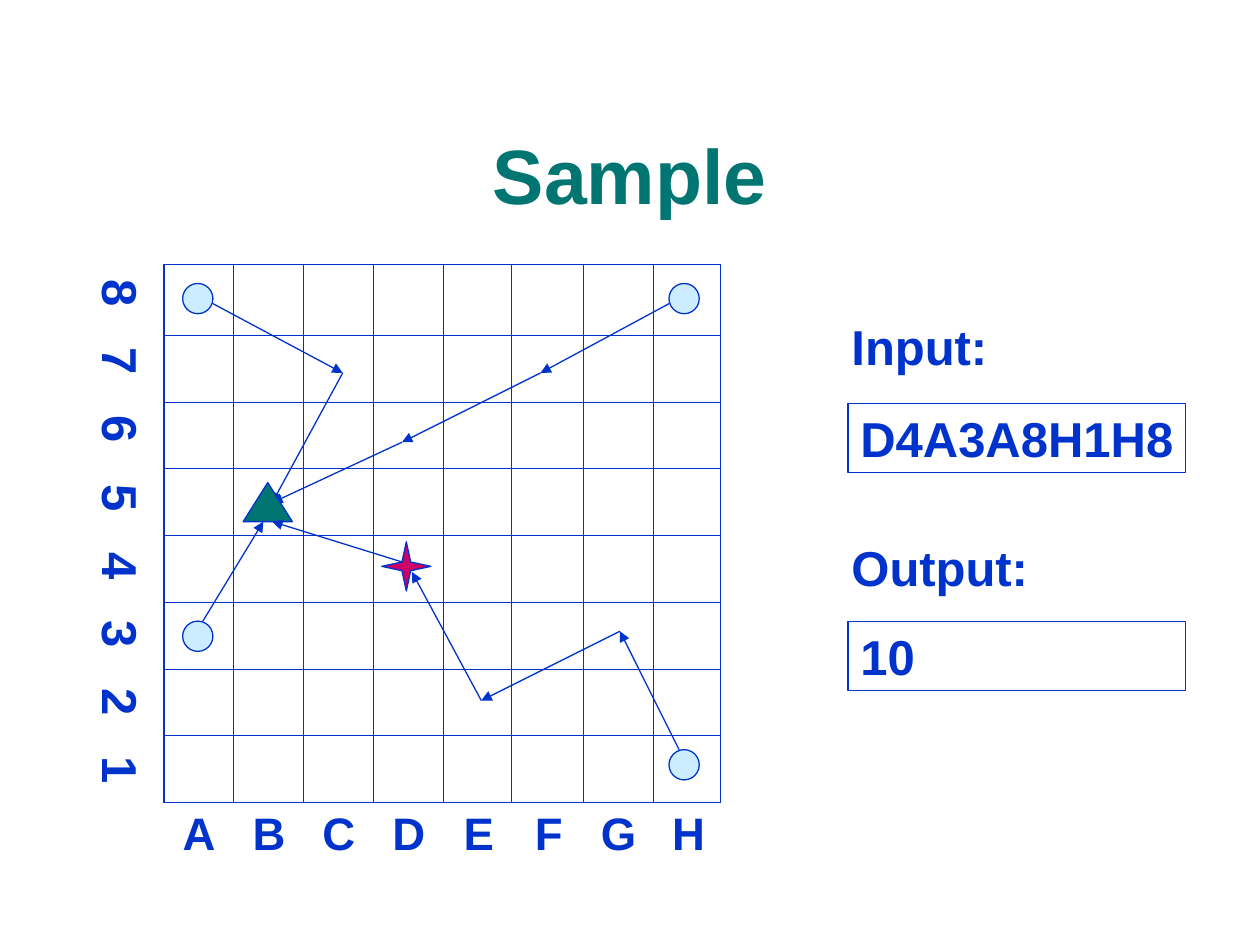
"""Build the sample slide: a chess board with paths, next to its input and output."""
from dataclasses import dataclass
from itertools import pairwise, product

from lxml.etree import SubElement as Sub
from pptx import Presentation
from pptx.dml.color import RGBColor as Color
from pptx.enum.shapes import MSO_CONNECTOR as Link, MSO_SHAPE as Kind
from pptx.enum.text import MSO_ANCHOR as Anchor, PP_ALIGN as Align
from pptx.oxml.ns import qn
from pptx.util import Inches, Pt


@dataclass(frozen=True)
class Theme:
    font: str = "Arial"
    blue: str = "0033CC"
    teal: str = "007572"
    pale: str = "CCECFF"
    pink: str = "CC0066"
    white: str = "FFFFFF"
    title: int = 44
    body: int = 28
    label: int = 26
    line: float = 0.75
    thin: float = 0.45
    thick: float = 1.08


@dataclass(frozen=True)
class Box:
    left: float
    top: float
    width: float
    height: float

    def place(self) -> tuple:
        return tuple(map(Inches, (self.left, self.top, self.width, self.height)))


@dataclass(frozen=True)
class Mark:
    kind: Kind
    box: Box
    fill: str


@dataclass(frozen=True)
class Field:
    head: str
    value: str
    top: float
    gap: float


@dataclass(frozen=True)
class Scale:
    signs: str
    box: Box
    size: int
    first: float
    step: float
    vert: str = "horz"


THEME = Theme()
BOARD = Box(1.3, 2.1, 4.41, 4.25)
COLS = (0.55, 0.56, 0.55, 0.56, 0.54, 0.57, 0.56, 0.53)
ROWS = (0.56,) + (0.53,) * 7
FIELDS = (
    Field("Input:", "D4A3A8H1H8", 3.2, 0.74),
    Field("Output:", "10", 4.93, 0.71),
)
SCALES = (
    Scale("ABCDEFGH", Box(1.36, 6.34, 4.36, 0.54), THEME.label, 0.22, 0.555),
    Scale("87654321", Box(0.59, 2.18, 0.66, 4.1), THEME.body, 0.15, 0.54, "eaVert"),
)
SPOTS = ((1.45, 4.93), (1.45, 2.25), (5.31, 5.95), (5.31, 2.25))
MARKS = (
    *(Mark(Kind.OVAL, Box(x, y, 0.24, 0.24), THEME.pale) for x, y in SPOTS),
    Mark(Kind.STAR_4_POINT, Box(3.03, 4.3, 0.39, 0.39), THEME.pink),
)
GOAL = Mark(Kind.ISOSCELES_TRIANGLE, Box(1.93, 3.83, 0.39, 0.31), THEME.teal)
ROUTES = (
    ((1.61, 4.93), (2.09, 4.14)),
    ((1.69, 2.41), (2.72, 2.96), (2.16, 3.99)),
    ((5.31, 2.41), (4.29, 2.96), (3.19, 3.51), (2.16, 3.99)),
    ((5.39, 5.95), (4.92, 5.01), (3.82, 5.56), (3.27, 4.54)),
)
LAST = ((3.19, 4.46), (2.16, 4.14))


def write(shape, text: str, *, size: int = THEME.body, color: str = THEME.blue,
          align: Align = Align.LEFT, anchor: Anchor = Anchor.TOP,
          sides: tuple = (0.1, 0.05, 0, 0.05)) -> None:
    frame = shape.text_frame
    frame.word_wrap = True
    frame.vertical_anchor = anchor
    (frame.margin_left, frame.margin_top,
     frame.margin_right, frame.margin_bottom) = map(Inches, sides)
    para = frame.paragraphs[0]
    para.alignment = align
    run = para.add_run()
    run.text = text
    run.font.name, run.font.size, run.font.bold = THEME.font, Pt(size), True
    run.font.color.rgb = Color.from_string(color)


def draw_mark(slide, mark: Mark):
    shape = slide.shapes.add_shape(mark.kind, *mark.box.place())
    shape.shadow.inherit = False
    shape.fill.solid()
    shape.fill.fore_color.rgb = Color.from_string(mark.fill)
    shape.line.color.rgb = Color.from_string(THEME.blue)
    shape.line.width = Pt(THEME.line)
    if mark.kind == Kind.STAR_4_POINT:
        shape.adjustments[0] = 0.125
    return shape


def draw_route(slide, route: tuple) -> None:
    for start, end in pairwise(route):
        line = slide.shapes.add_connector(Link.STRAIGHT, *map(Inches, start + end))
        line.line.color.rgb = Color.from_string(THEME.blue)
        line.line.width = Pt(THEME.line)
        Sub(line.line._get_or_add_ln(), qn("a:tailEnd"), type="triangle")
        Sub(line._element.spPr, qn("a:effectLst"))


def draw_edge(cell, side: str, width: float) -> None:
    edge = Sub(cell._tc.get_or_add_tcPr(), qn(f"a:{side}"), w=str(int(Pt(width))))
    Sub(Sub(edge, qn("a:solidFill")), qn("a:srgbClr"), val=THEME.blue)


def draw_board(slide) -> None:
    table = slide.shapes.add_table(len(ROWS), len(COLS), *BOARD.place()).table
    table.first_row = table.horz_banding = False
    for col, width in zip(table.columns, COLS):
        col.width = Inches(width)
    for row, height in zip(table.rows, ROWS):
        row.height = Inches(height)
    for r, c in product(range(len(ROWS)), range(len(COLS))):
        cell = table.cell(r, c)
        outer = {"lnL": c == 0, "lnR": c == len(COLS) - 1,
                 "lnT": r == 0, "lnB": r == len(ROWS) - 1}
        for side, rim in outer.items():
            draw_edge(cell, side, THEME.thick if rim else THEME.thin)
        cell.fill.background()


def draw_field(slide, field: Field) -> None:
    frame = draw_mark(slide, Mark(Kind.RECTANGLE, Box(6.73, field.top, 2.68, 0.55),
                                  THEME.white))
    write(frame, field.value, anchor=Anchor.MIDDLE)
    head = Box(6.66, field.top - field.gap, 1.6, 0.57)
    write(slide.shapes.add_textbox(*head.place()), field.head)


def draw_scale(slide, scale: Scale) -> None:
    shape = slide.shapes.add_textbox(*scale.box.place())
    flat = scale.vert == "horz"
    write(shape, "".join(f"\t{sign}" for sign in scale.signs), size=scale.size,
          sides=(0, 0.05, 0, 0.05) if flat else (0.05, 0, 0.05, 0))
    shape.text_frame._txBody.bodyPr.set("vert", scale.vert)
    stops = Sub(shape.text_frame.paragraphs[0]._p.get_or_add_pPr(), qn("a:tabLst"))
    for i in range(len(scale.signs)):
        place = Inches(scale.first + i * scale.step)
        Sub(stops, qn("a:tab"), pos=str(int(place)), algn="ctr")


def main() -> None:
    deck = Presentation()
    deck.slide_width, deck.slide_height = Inches(10), Inches(7.5)
    slide = deck.slides.add_slide(deck.slide_layouts[6])
    title = slide.shapes.add_textbox(*Box(0.33, 0.75, 9.34, 1.25).place())
    write(title, "Sample", size=THEME.title, color=THEME.teal, align=Align.CENTER,
          anchor=Anchor.MIDDLE, sides=(0.1, 0.05, 0.1, 0.05))
    draw_board(slide)
    for field in FIELDS:
        draw_field(slide, field)
    for scale in SCALES:
        draw_scale(slide, scale)
    for mark in MARKS:
        draw_mark(slide, mark)
    for route in ROUTES:
        draw_route(slide, route)
    draw_mark(slide, GOAL)
    draw_route(slide, LAST)
    deck.save("out.pptx")


if __name__ == "__main__":
    main()
